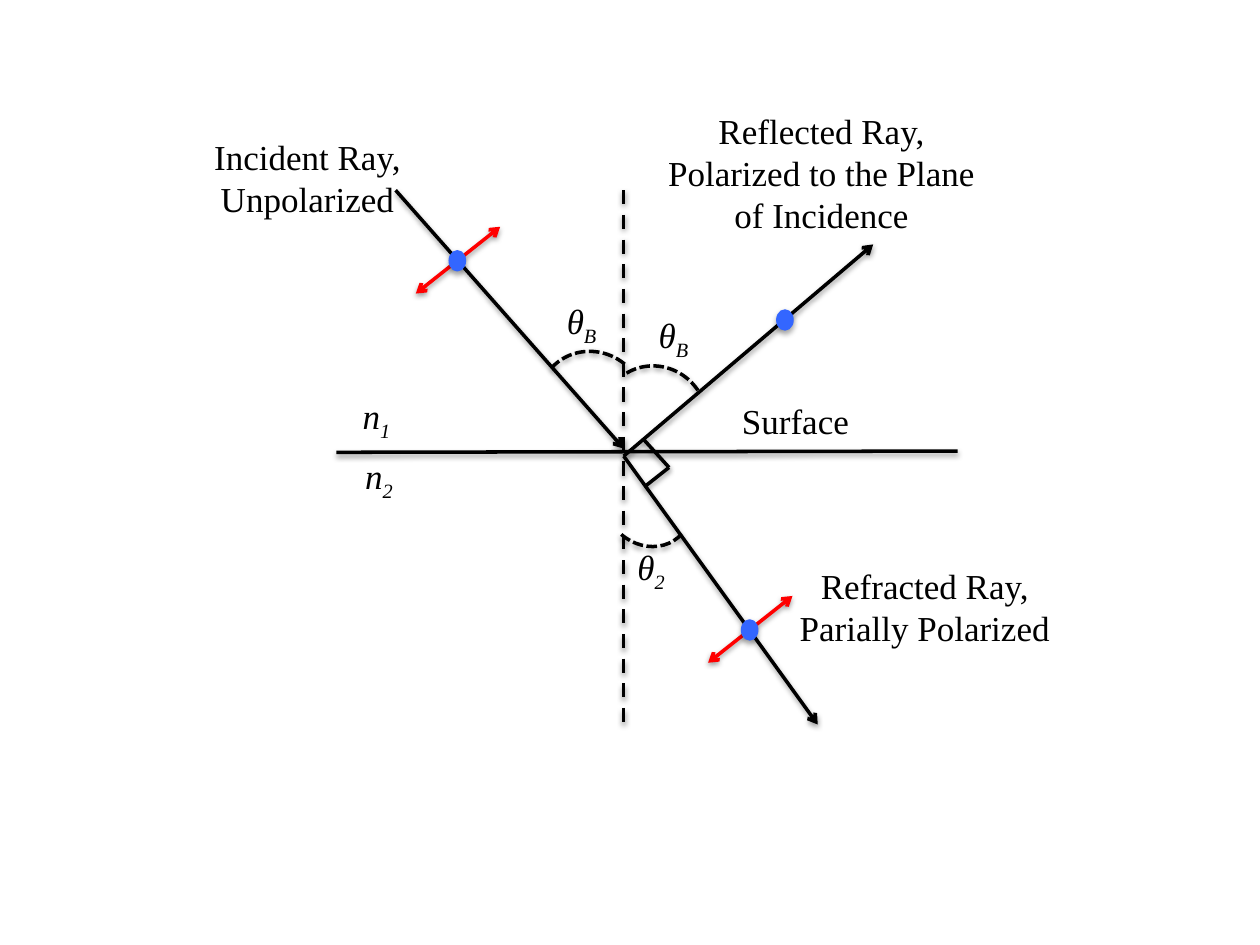
import pptx
import pptx.dml.color
import pptx.enum.dml
import pptx.enum.shapes
import pptx.enum.text
import pptx.util
from lxml import etree
from pptx.oxml import parse_xml
from pptx.oxml.ns import nsdecls, qn
from pptx.util import Inches

BLACK = pptx.dml.color.RGBColor(0x00, 0x00, 0x00)
RED = pptx.dml.color.RGBColor(0xFF, 0x00, 0x00)
BLUE = pptx.dml.color.RGBColor(0x33, 0x66, 0xFF)
DASH = pptx.enum.dml.MSO_LINE_DASH_STYLE
SHAPES = pptx.enum.shapes.MSO_SHAPE
FONT = "Times New Roman"
LABEL_WIDTH, LABEL_HEIGHT = 1.13, 0.44


def add_shadow(shape, opacity=38, distance=1.6):
    """Give the shape a soft black shadow straight below it; call after styling its line."""
    blur, offset = pptx.util.Pt(3.1), pptx.util.Pt(distance)
    shape._element.spPr.append(parse_xml(
        f'<a:effectLst {nsdecls("a")}>'
        f'<a:outerShdw blurRad="{blur}" dist="{offset}" dir="5400000" rotWithShape="0">'
        f'<a:srgbClr val="{BLACK}"><a:alpha val="{opacity * 1000}"/></a:srgbClr>'
        '</a:outerShdw></a:effectLst>'))


def style_line(shape, color, width=2, dash=None):
    shape.line.color.rgb = color
    shape.line.width = pptx.util.Pt(width)
    if dash is not None:
        shape.line.dash_style = dash


def add_line(slide, start, end, color=BLACK, dash=None, arrows=()):
    """Draw a line; arrows names the ends that get an arrowhead, headEnd before tailEnd."""
    line = slide.shapes.add_connector(
        pptx.enum.shapes.MSO_CONNECTOR.STRAIGHT, *map(Inches, start + end))
    style_line(line, color, dash=dash)
    for arrow in arrows:
        etree.SubElement(line.line._get_or_add_ln(), qn(f"a:{arrow}"), type="arrow")
    add_shadow(line)


def add_text(slide, box, text, subscript=None, centered=False):
    """Add a label; a subscript makes it an italic symbol."""
    text_box = slide.shapes.add_textbox(*map(Inches, box))
    frame = text_box.text_frame
    frame.word_wrap = True
    frame.auto_size = pptx.enum.text.MSO_AUTO_SIZE.SHAPE_TO_FIT_TEXT
    paragraph = frame.paragraphs[0]
    if centered:
        paragraph.alignment = pptx.enum.text.PP_ALIGN.CENTER
    paragraph.font.name = FONT
    paragraph.font.size = pptx.util.Pt(20)
    paragraph.font.color.rgb = BLACK
    paragraph.add_run().text = text
    if subscript:
        paragraph.font.italic = True
        run = paragraph.add_run()
        run.text = subscript
        run.font._element.set("baseline", "-25000")


def draw_media(slide, box):
    """Draw the surface between the two media, the dashed normal and their labels."""
    left, top, width, height = box
    normal_x, surface_y = left + 2.28, top + 2.08
    add_line(slide, (left, surface_y), (left + width, surface_y - 0.01))
    add_line(slide, (normal_x, top), (normal_x, top + height), dash=DASH.DASH)
    size = (LABEL_WIDTH, LABEL_HEIGHT)
    add_text(slide, (left + 0.11, surface_y - 0.51) + size, "n", "1")
    add_text(slide, (left + 0.13, surface_y - 0.03) + size, "n", "2")
    add_text(slide, (left + 3.12, surface_y - 0.47) + size, "Surface")


def draw_polarization(slide, center, in_plane):
    """Mark polarization with a dot, and a red double arrow for the in-plane part."""
    x, y = center
    if in_plane:
        add_line(slide, (x - 0.33, y + 0.26), (x + 0.34, y - 0.27), RED,
                 arrows=("headEnd", "tailEnd"))
    width, height = 0.13, 0.16
    dot = slide.shapes.add_shape(
        SHAPES.OVAL, *map(Inches, (x - width / 2, y - height / 2, width, height)))
    dot.fill.solid()
    dot.fill.fore_color.rgb = BLUE
    style_line(dot, BLUE, 0.75)
    add_shadow(dot, 35, 1.8)


def draw_ray(slide, start, end, center, in_plane, label, label_box):
    add_line(slide, start, end, arrows=("tailEnd",))
    draw_polarization(slide, center, in_plane)
    add_text(slide, label_box, label, centered=True)


def draw_angle(slide, box, rotation, label_offset, subscript):
    """Draw a dashed arc in the box, with its theta label offset from the box corner."""
    arc = slide.shapes.add_shape(SHAPES.ARC, *map(Inches, box))
    arc.rotation = rotation
    arc.fill.background()
    style_line(arc, BLACK, dash=DASH.SQUARE_DOT)
    arc.line._get_or_add_ln().find(qn("a:prstDash")).set("val", "sysDash")
    add_shadow(arc)
    add_text(slide, (box[0] + label_offset[0], box[1] + label_offset[1],
                     LABEL_WIDTH, LABEL_HEIGHT), "θ", subscript)


def draw_right_angle(slide, box):
    left, top, width, height = box
    corner = (left + width, top + 0.22)
    add_line(slide, (left, top), corner)
    add_line(slide, corner, (left + 0.01, top + height))


def main():
    presentation = pptx.Presentation()
    presentation.slide_width = Inches(10)
    presentation.slide_height = Inches(7.5)
    slide = presentation.slides.add_slide(presentation.slide_layouts[6])

    draw_media(slide, (2.67, 1.51, 4.93, 4.24))
    draw_right_angle(slide, (5.11, 3.49, 0.2, 0.37))

    origin = (4.95, 3.62)
    draw_ray(slide, (3.14, 1.51), (4.95, 3.56), (3.63, 2.07), True,
             "Incident Ray, Unpolarized", (1.32, 1.03, 2.24, 0.77))
    draw_ray(slide, origin, (6.93, 1.94), (6.23, 2.54), False,
             "Reflected Ray, Polarized to the Plane of Incidence", (5.17, 0.82, 2.7, 1.11))
    draw_ray(slide, origin, (6.49, 5.75), (5.95, 5.0), True,
             "Refracted Ray, Parially Polarized", (6.23, 4.43, 2.22, 0.77))

    draw_angle(slide, (4.28, 2.78, 0.83, 0.86), 312.2, (0.12, -0.45), "B")
    draw_angle(slide, (4.78, 2.9, 0.83, 0.86), 328.9, (0.35, -0.46), "B")
    draw_angle(slide, (4.82, 3.64, 0.64, 0.72), 131.5, (0.14, 0.64), "2")

    presentation.save("out.pptx")


if __name__ == "__main__":
    main()
